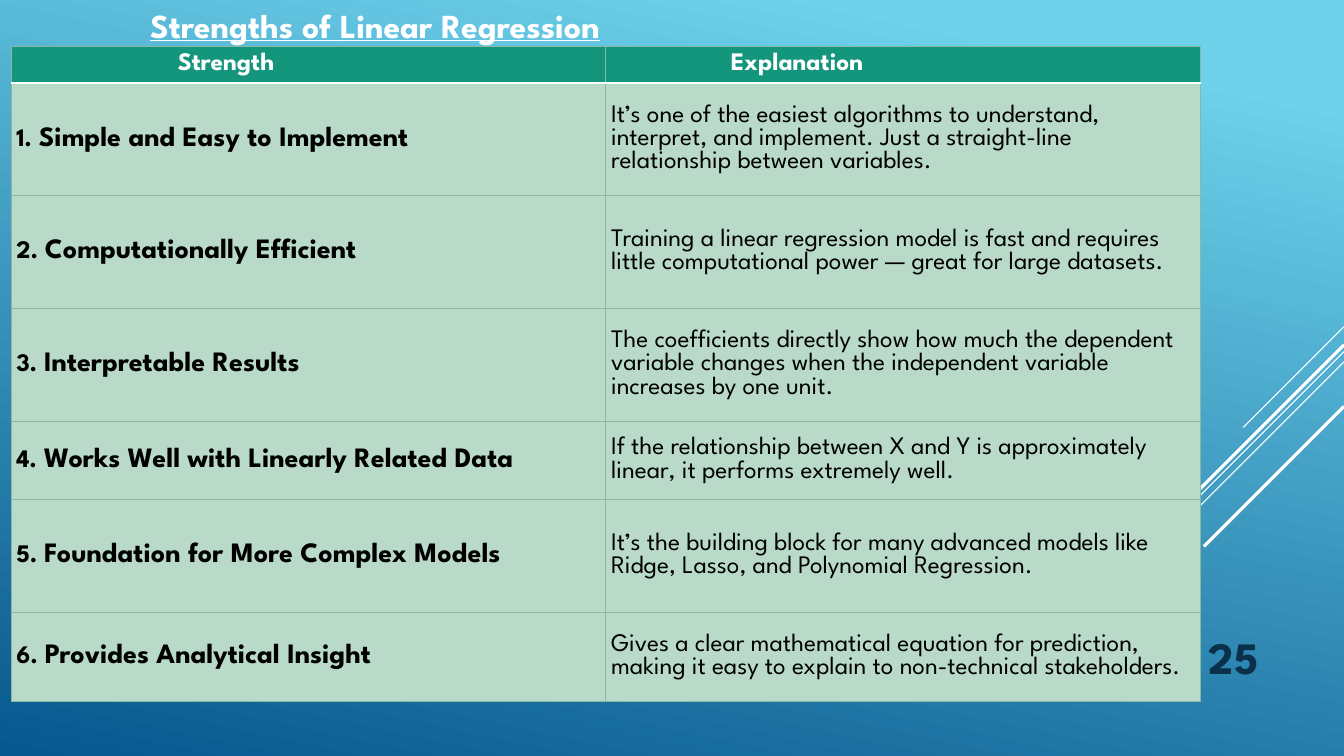
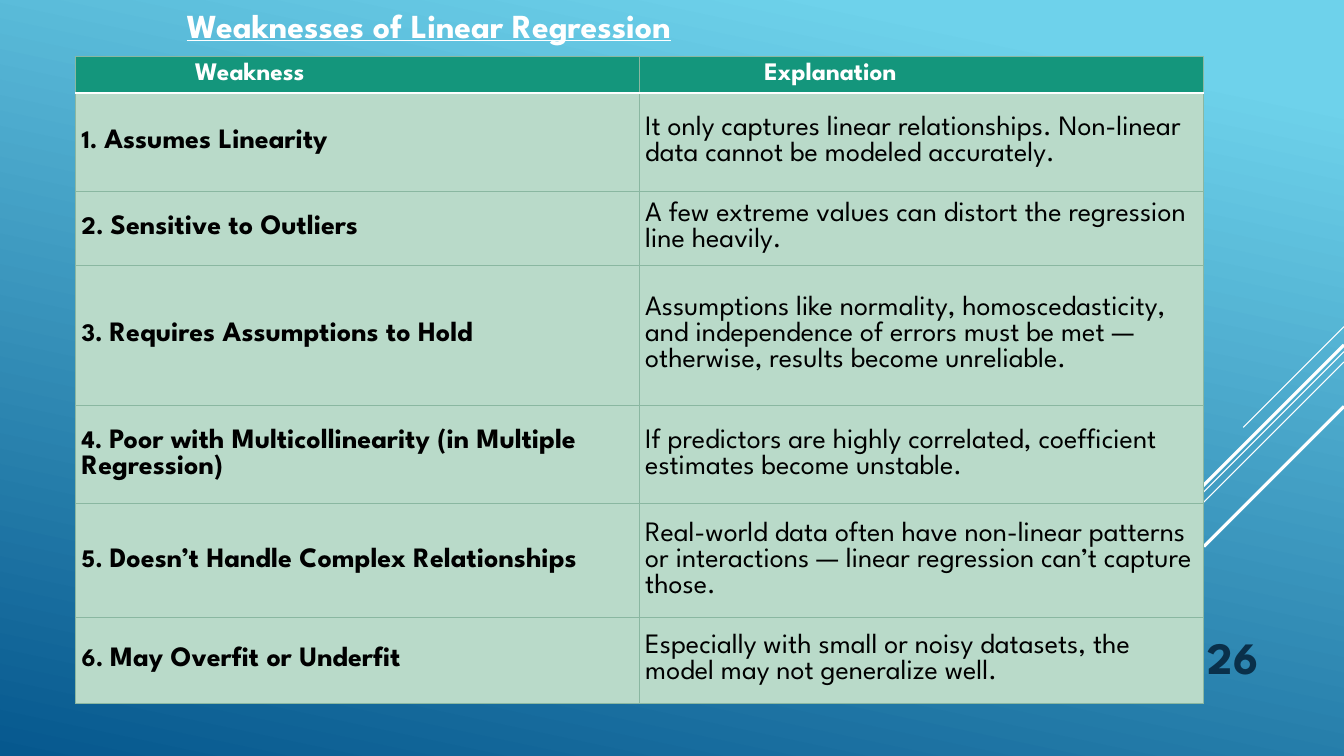
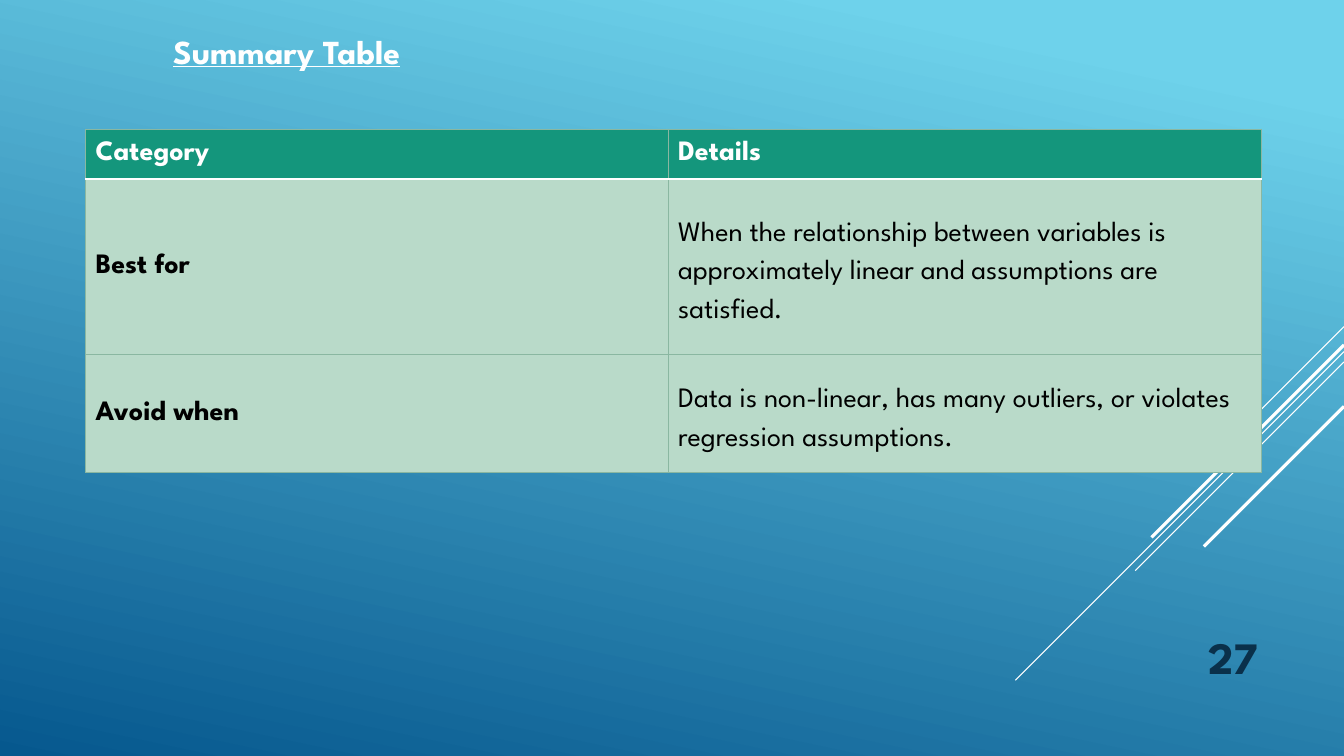
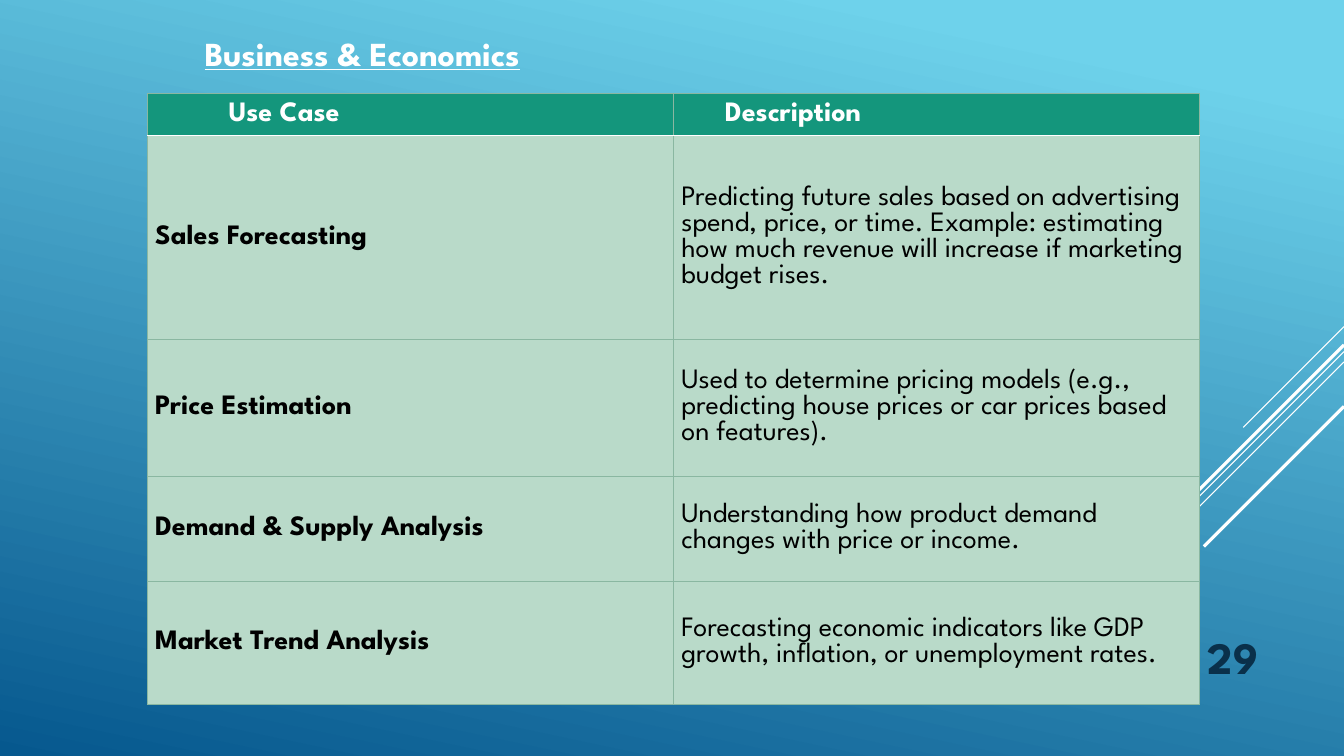
from lxml.etree import SubElement
from pptx import Presentation
from pptx.dml.color import RGBColor as RGB
from pptx.enum.shapes import MSO_CONNECTOR as LINK
from pptx.enum.text import MSO_ANCHOR as ANCHOR, MSO_AUTO_SIZE as FIT, PP_ALIGN as ALIGN
from pptx.oxml import parse_xml
from pptx.oxml.ns import nsdecls, qn
from pptx.util import Cm, Pt

FONT = "League Spartan"
WHITE = RGB(0xFF, 0xFF, 0xFF)
BLACK = RGB(0x00, 0x00, 0x00)
SKY = RGB(0x6E, 0xD2, 0xEB)
DEEP = RGB(0x06, 0x58, 0x8E)
NAVY = RGB(0x0A, 0x30, 0x4A)
GREEN = RGB(0x14, 0x96, 0x7C)
MINT = RGB(0xB9, 0xDA, 0xC9)
SAGE = RGB(0x8A, 0xB7, 0xA1)

WIDE, HIGH = 33.87, 19.05
RAYS = [(8.23, 2.54, 0.75), (8.86, 8.28, 0.75), (9.12, 5.26, 0.75),
        (8.69, 4.85, 2.25), (10.24, 3.53, 2.25)]
THIN = (SAGE, 0.75, 60)
RULE = (WHITE, 1.25, 100)

PROS = [
    ("Strength", "Explanation"),
    ("Simple and Easy to Implement",
     "It’s one of the easiest algorithms to understand, interpret, and implement. "
     "Just a straight-line relationship between variables."),
    ("Computationally Efficient",
     "Training a linear regression model is fast and requires little computational "
     "power — great for large datasets."),
    ("Interpretable Results",
     "The coefficients directly show how much the dependent variable changes when "
     "the independent variable increases by one unit."),
    ("Works Well with Linearly Related Data",
     "If the relationship between X and Y is approximately linear, it performs "
     "extremely well."),
    ("Foundation for More Complex Models",
     "It’s the building block for many advanced models like Ridge, Lasso, and "
     "Polynomial Regression."),
    ("Provides Analytical Insight",
     "Gives a clear mathematical equation for prediction, making it easy to explain "
     "to non-technical stakeholders."),
]
CONS = [
    ("Weakness", "Explanation"),
    ("Assumes Linearity",
     "It only captures linear relationships. Non-linear data cannot be modeled "
     "accurately."),
    ("Sensitive to Outliers",
     "A few extreme values can distort the regression line heavily."),
    ("Requires Assumptions to Hold",
     "Assumptions like normality, homoscedasticity, and independence of errors must "
     "be met — otherwise, results become unreliable."),
    ("Poor with Multicollinearity (in Multiple Regression)",
     "If predictors are highly correlated, coefficient estimates become unstable."),
    ("Doesn’t Handle Complex Relationships",
     "Real-world data often have non-linear patterns or interactions — linear "
     "regression can’t capture those."),
    ("May Overfit or Underfit",
     "Especially with small or noisy datasets, the model may not generalize well."),
]
FITS = [
    ("Category", "Details"),
    ("Best for",
     "When the relationship between variables is approximately linear and "
     "assumptions are satisfied."),
    ("Avoid when",
     "Data is non-linear, has many outliers, or violates regression assumptions."),
]
USES = [
    ("Use Case", "Description"),
    ("Sales Forecasting",
     "Predicting future sales based on advertising spend, price, or time. Example: "
     "estimating how much revenue will increase if marketing budget rises."),
    ("Price Estimation",
     "Used to determine pricing models (e.g., predicting house prices or car prices "
     "based on features)."),
    ("Demand & Supply Analysis",
     "Understanding how product demand changes with price or income."),
    ("Market Trend Analysis",
     "Forecasting economic indicators like GDP growth, inflation, or unemployment "
     "rates."),
]


def style(run, size, color, bold=True):
    font = run.font
    font.name, font.size, font.bold = FONT, Pt(size), bold
    font.color.rgb = color


def paint(master):
    fill = master.background.fill
    fill.gradient()
    fill.gradient_angle = 258
    for stop, color, place in zip(fill.gradient_stops, (SKY, DEEP), (0.1, 1)):
        stop.color.rgb = color
        stop.position = place


def add_rays(slide, master):
    for num, (top, span, width) in enumerate(RAYS):
        ray = slide.shapes.add_connector(
            LINK.STRAIGHT, Cm(WIDE), Cm(top), Cm(WIDE - span), Cm(top + span))
        ray.line.color.rgb = WHITE
        ray.line.width = Pt(width)
        SubElement(ray.element.spPr, qn("a:effectLst"))
        ray.element.nvCxnSpPr.cNvPr.id = 20 + num
        master.element.cSld.spTree.append(ray.element)


def add_page(deck, num, title, left, top, width):
    slide = deck.slides.add_slide(deck.slide_layouts[5])
    head = slide.shapes.title
    head.left, head.top, head.width, head.height = Cm(left), Cm(top), Cm(width), Cm(1.27)
    frame = head.text_frame
    frame.text = title
    frame.auto_size, frame.vertical_anchor = FIT.NONE, ANCHOR.TOP
    para = frame.paragraphs[0]
    para.alignment = ALIGN.LEFT
    style(para.runs[0], 24, WHITE)
    para.runs[0].font.underline = True

    frame = slide.shapes.add_textbox(Cm(28.78), Cm(15.49), Cm(3.18), Cm(1.85)).text_frame
    frame.text = str(num)
    frame.word_wrap, frame.vertical_anchor = True, ANCHOR.BOTTOM
    para = frame.paragraphs[0]
    para.alignment = ALIGN.RIGHT
    style(para.runs[0], 32, NAVY)
    return slide


def edge(cell, top, base):
    props = cell._tc.get_or_add_tcPr()
    sides = zip(("lnL", "lnR", "lnT", "lnB"), (THIN, THIN, top, base))
    for spot, (tag, (color, width, alpha)) in enumerate(sides):
        props.insert(spot, parse_xml(
            f'<a:{tag} {nsdecls("a")} w="{Pt(width)}"><a:solidFill>'
            f'<a:srgbClr val="{color}"><a:alpha val="{alpha * 1000}"/></a:srgbClr>'
            f'</a:solidFill><a:prstDash val="solid"/></a:{tag}>'))


def add_grid(slide, data, left, top, cols, rows, inset, sizes, pads=None,
             listed=False, space=None):
    grid = slide.shapes.add_table(
        len(rows), len(cols), Cm(left), Cm(top), Cm(sum(cols)), Cm(sum(rows))).table
    grid.horz_banding = False
    for col, width in zip(grid.columns, cols):
        col.width = Cm(width)
    for row, height in zip(grid.rows, rows):
        row.height = Cm(height)
    for y, texts in enumerate(data):
        for x, text in enumerate(texts):
            cell = grid.cell(y, x)
            cell.fill.solid()
            cell.fill.fore_color.rgb = MINT if y else GREEN
            edge(cell, RULE if y == 1 else THIN, THIN if y else RULE)
            cell.vertical_anchor = ANCHOR.MIDDLE
            cell.margin_left = Cm(pads[x] if pads and not y else inset[0])
            cell.margin_right = Cm(inset[0])
            cell.margin_top = cell.margin_bottom = Cm(inset[1])
            para = cell.text_frame.paragraphs[0]
            color = BLACK if y else WHITE
            if listed and y and not x:
                para.text = f"{y}. "
                style(para.runs[0], 18, color)
                para.add_run().text = text
            else:
                para.text = text
            size = sizes[0] if not y else sizes[1 + x]
            style(para.runs[-1], size, color, not (x and y))
            if space and x and y:
                para.line_spacing = space


def main():
    deck = Presentation()
    deck.slide_width, deck.slide_height = Cm(WIDE), Cm(HIGH)
    paint(deck.slide_master)

    page = add_page(deck, 25, "Strengths of Linear Regression", 3.53, 0, 12.98)
    add_rays(page, deck.slide_master)
    add_grid(page, PROS, 0.28, 1.17, [14.99, 14.99],
             [0.91, 2.84, 2.84, 2.84, 1.98, 2.84, 2.24],
             (0.13, 0.08), (18, 20, 18), (4.2, 3.15), listed=True)

    page = add_page(deck, 26, "Weaknesses of Linear Regression", 4.45, 0, 21)
    add_grid(page, CONS, 1.91, 1.42, [14.2, 14.22],
             [0.9, 2.48, 1.84, 3.53, 2.49, 2.85, 2.17],
             (0.15, 0.08), (18, 20, 20), (3, 3.15), listed=True)

    page = add_page(deck, 27, "Summary Table", 4.11, 0.64, 21.34)
    add_grid(page, FITS, 2.16, 3.25, [14.68, 14.94], [1.26, 4.42, 2.98],
             (0.25, 0.13), (20, 20, 20), space=1.5)

    page = add_page(deck, 29, "Business & Economics", 4.9, 0.71, 20.55)
    add_grid(page, USES, 3.71, 2.36, [13.26, 13.26], [1.06, 5.14, 3.45, 2.63, 3.1],
             (0.2, 0.1), (20, 20, 20), (2.05, 1.3))

    deck.save("out.pptx")


if __name__ == "__main__":
    main()
